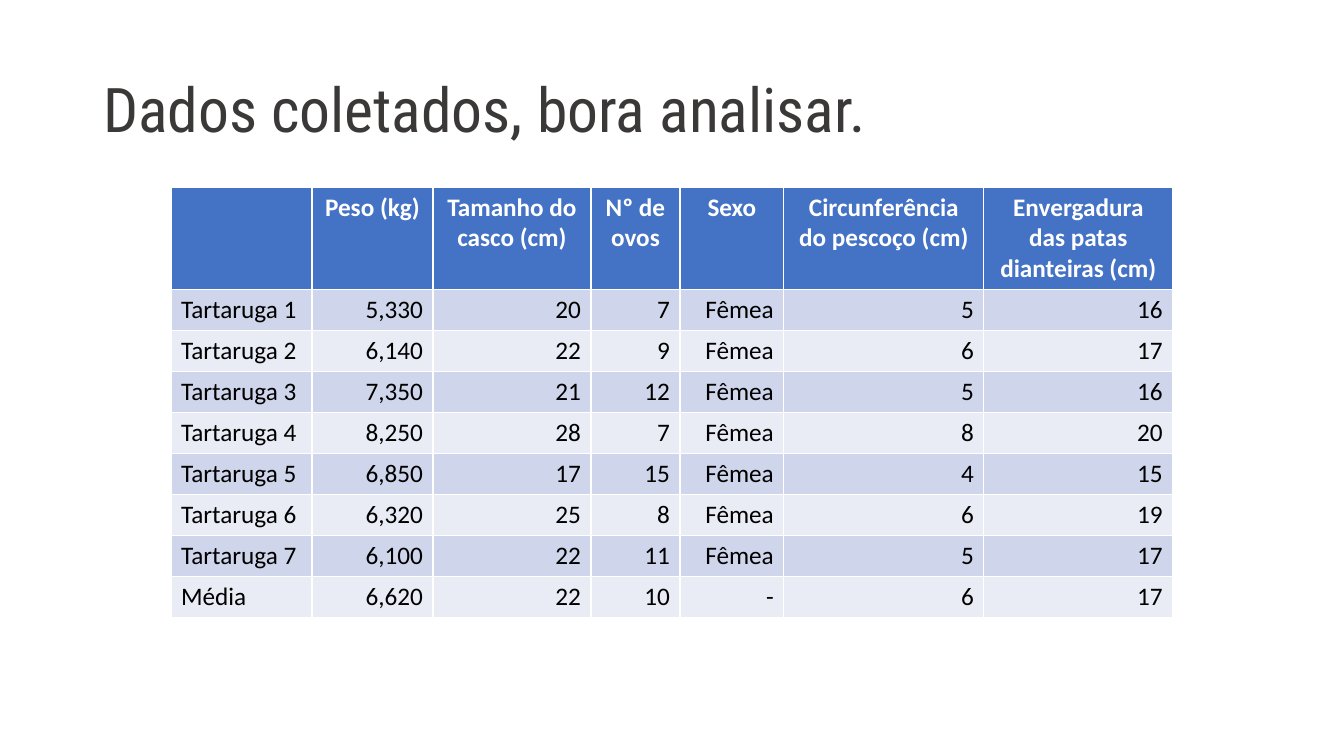
from pptx import Presentation
from pptx.dml.color import RGBColor
from pptx.enum.text import MSO_ANCHOR as Anchor, MSO_AUTO_SIZE as Fit, PP_ALIGN as Align
from pptx.util import Pt

TITLE = "Dados coletados, bora analisar."
HEAD = ["", "Peso (kg)", "Tamanho do casco (cm)", "Nº de ovos", "Sexo",
        "Circunferência do pescoço (cm)", "Envergadura das patas dianteiras (cm)"]
ROWS = [
    ("Tartaruga 1", "5,330", "20", "7", "Fêmea", "5", "16"),
    ("Tartaruga 2", "6,140", "22", "9", "Fêmea", "6", "17"),
    ("Tartaruga 3", "7,350", "21", "12", "Fêmea", "5", "16"),
    ("Tartaruga 4", "8,250", "28", "7", "Fêmea", "8", "20"),
    ("Tartaruga 5", "6,850", "17", "15", "Fêmea", "4", "15"),
    ("Tartaruga 6", "6,320", "25", "8", "Fêmea", "6", "19"),
    ("Tartaruga 7", "6,100", "22", "11", "Fêmea", "5", "17"),
    ("Média", "6,620", "22", "10", "-", "6", "17"),
]
WIDTHS = [141, 121, 158, 89, 104, 200, 189]
HEAD_H, ROW_H = 101, 41
BANDS = ["CFD5EA", "E9EBF5"]


def px(n):
    return round(n * 914400 / 100.8)


def color(code):
    return RGBColor.from_string(code)


def style(par, face, size, code, align, bold=False):
    par.alignment = align
    font = par.font
    font.name, font.size, font.bold = face, Pt(size), bold
    font.color.rgb = color(code)


def add_title(slide):
    title = slide.shapes.title
    title.left, title.top, title.width, title.height = map(px, (93, 40, 1159, 146))
    frame = title.text_frame
    frame.text = TITLE
    frame.auto_size = Fit.NONE
    frame.vertical_anchor = Anchor.MIDDLE
    par = frame.paragraphs[0]
    par.line_spacing = 0.9
    style(par, "Roboto Condensed", 44, "3B3838", Align.LEFT)


def add_grid(slide):
    data = [HEAD, *ROWS]
    heights = [HEAD_H] + [ROW_H] * len(ROWS)
    table = slide.shapes.add_table(len(data), len(HEAD), px(171), px(187),
                                   px(sum(WIDTHS)), px(sum(heights))).table
    for col, width in zip(table.columns, WIDTHS):
        col.width = px(width)
    for r, (texts, height) in enumerate(zip(data, heights)):
        table.rows[r].height = px(height)
        top = r == 0
        for c, text in enumerate(texts):
            cell = table.cell(r, c)
            cell.text = text
            cell.fill.solid()
            cell.fill.fore_color.rgb = color("4472C4" if top else BANDS[(r - 1) % 2])
            align = Align.CENTER if top else Align.RIGHT if c else Align.LEFT
            style(cell.text_frame.paragraphs[0], "Calibri", 18,
                  "FFFFFF" if top else "000000", align, top)


def main():
    deck = Presentation()
    deck.slide_width, deck.slide_height = px(1344), px(756)
    slide = deck.slides.add_slide(deck.slide_layouts[5])
    add_title(slide)
    add_grid(slide)
    deck.save("out.pptx")


if __name__ == "__main__":
    main()
